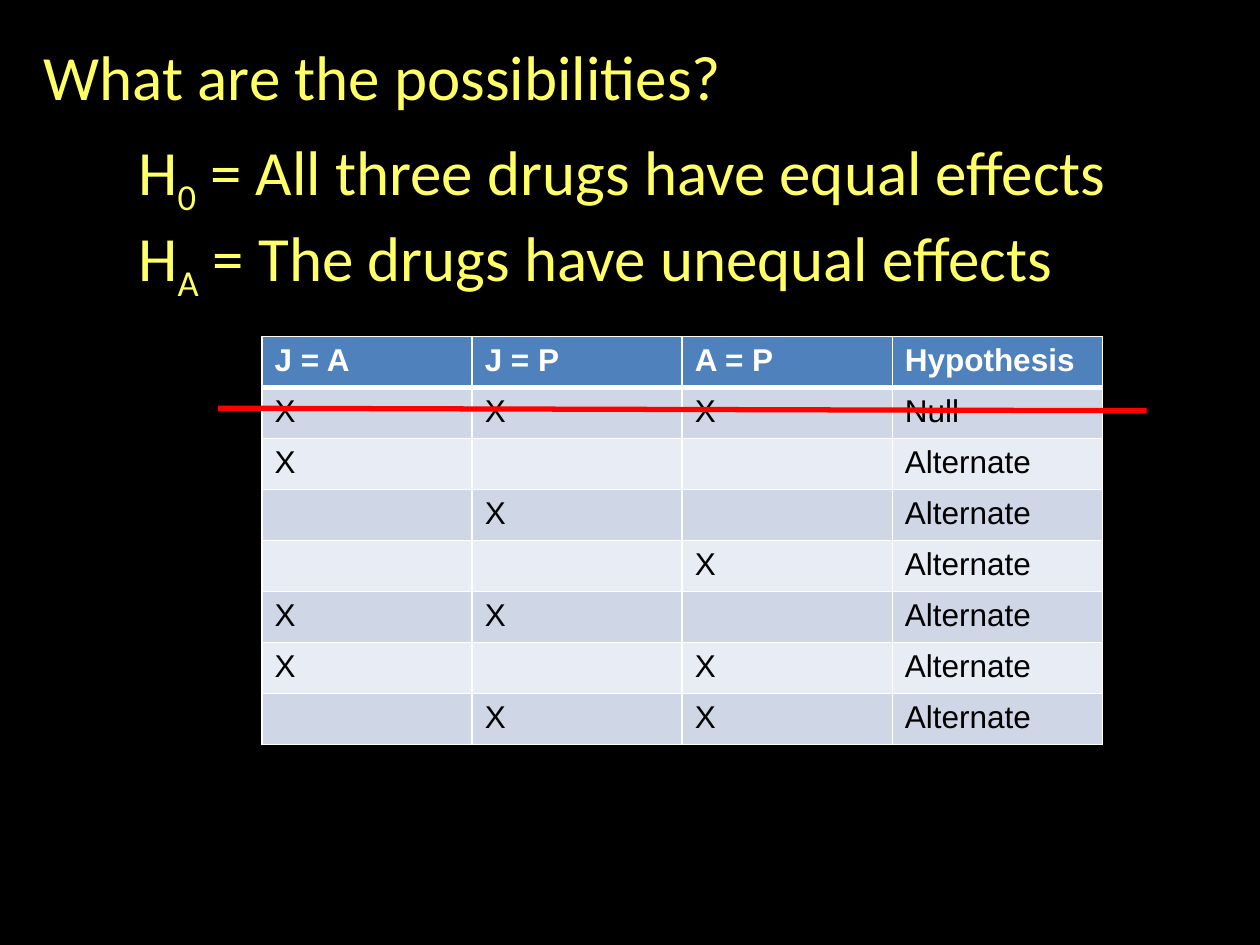
from lxml import etree
from pptx import Presentation
from pptx import util as u
from pptx.dml.color import RGBColor
from pptx.enum import shapes
from pptx.oxml import parse_xml
from pptx.oxml.ns import nsdecls, qn

COLORS = {
    "background": "000000", "heading": "FFFF66", "strike": "FF0000",
    "header": "4F81BD", "odd": "CFD7E7", "even": "E8ECF4",
    "white": "FFFFFF", "black": "000000",
}


class HypothesisSlide:
    """Holds the style and the current slide, and adds each kind of element."""

    def __init__(self, presentation):
        self.slide = presentation.slides.add_slide(presentation.slide_layouts[6])
        fill = self.slide.background.fill
        fill.solid()
        fill.fore_color.rgb = self.color("background")

    def color(self, name):
        return RGBColor.from_string(COLORS[name])

    def style(self, paragraph, face, size, color, bold=False):
        font = paragraph.font
        font.name, font.size, font.bold = face, u.Pt(size), bold
        font.color.rgb = self.color(color)

    def add_text(self, box, lines):
        frame = self.slide.shapes.add_textbox(*map(u.Inches, box)).text_frame
        frame.word_wrap = True
        for index, line in enumerate(lines):
            paragraph = frame.add_paragraph() if index else frame.paragraphs[0]
            for position, wording in enumerate(line):
                run = paragraph.add_run()
                run.text = wording
                if position == 1:
                    run.font._element.set("baseline", "-25000")
            self.style(paragraph, "Calibri", 36, "heading")

    def add_borders(self, cell, row):
        properties = cell._tc.get_or_add_tcPr()
        thick_side = {0: "B", 1: "T"}.get(row)
        for side in "LRTB":
            width = u.Pt(3 if side == thick_side else 1)
            properties.append(parse_xml(
                f'<a:ln{side} {nsdecls("a")} w="{width}"><a:solidFill>'
                f'<a:srgbClr val="{COLORS["white"]}"/></a:solidFill></a:ln{side}>'))

    def add_table(self, box, rows):
        table = self.slide.shapes.add_table(
            len(rows), len(rows[0]), *map(u.Inches, box)).table
        for row, wordings in enumerate(rows):
            band = "header" if row == 0 else "odd" if row % 2 else "even"
            for column, wording in enumerate(wordings):
                cell = table.cell(row, column)
                cell.text = wording
                self.add_borders(cell, row)
                cell.fill.solid()
                cell.fill.fore_color.rgb = self.color(band)
                self.style(cell.text_frame.paragraphs[0], "Arial", 18,
                           "black" if row else "white", bold=row == 0)

    def add_line(self, ends, color, width):
        line = self.slide.shapes.add_connector(
            shapes.MSO_CONNECTOR.STRAIGHT, *map(u.Inches, ends))
        line.line.color.rgb = self.color(color)
        line.line.width = u.Pt(width)
        etree.SubElement(line._element.spPr, qn("a:effectLst"))


def main():
    presentation = Presentation()
    presentation.slide_width = u.Inches(10)
    presentation.slide_height = u.Inches(7.5)
    page = HypothesisSlide(presentation)

    page.add_text((0.25, 0.25, 9.05, 0.71), [["What are the possibilities?"]])
    page.add_text((1, 1, 8.84, 1.31), [
        ["H", "0", " = All three drugs have equal effects"],
        ["H", "A", " = The drugs have unequal effects"],
    ])

    alternates = ["X--", "-X-", "--X", "XX-", "X-X", "-XX"]
    possibilities = [
        ["J = A", "J = P", "A = P", "Hypothesis"],
        ["X", "X", "X", "Null"],
    ] + [[mark.strip("-") for mark in marks] + ["Alternate"] for marks in alternates]
    page.add_table((2.08, 2.67, 6.67, 3.24), possibilities)
    page.add_line((1.73, 3.24, 9.1, 3.26), "strike", 3)

    presentation.save("out.pptx")


if __name__ == "__main__":
    main()
